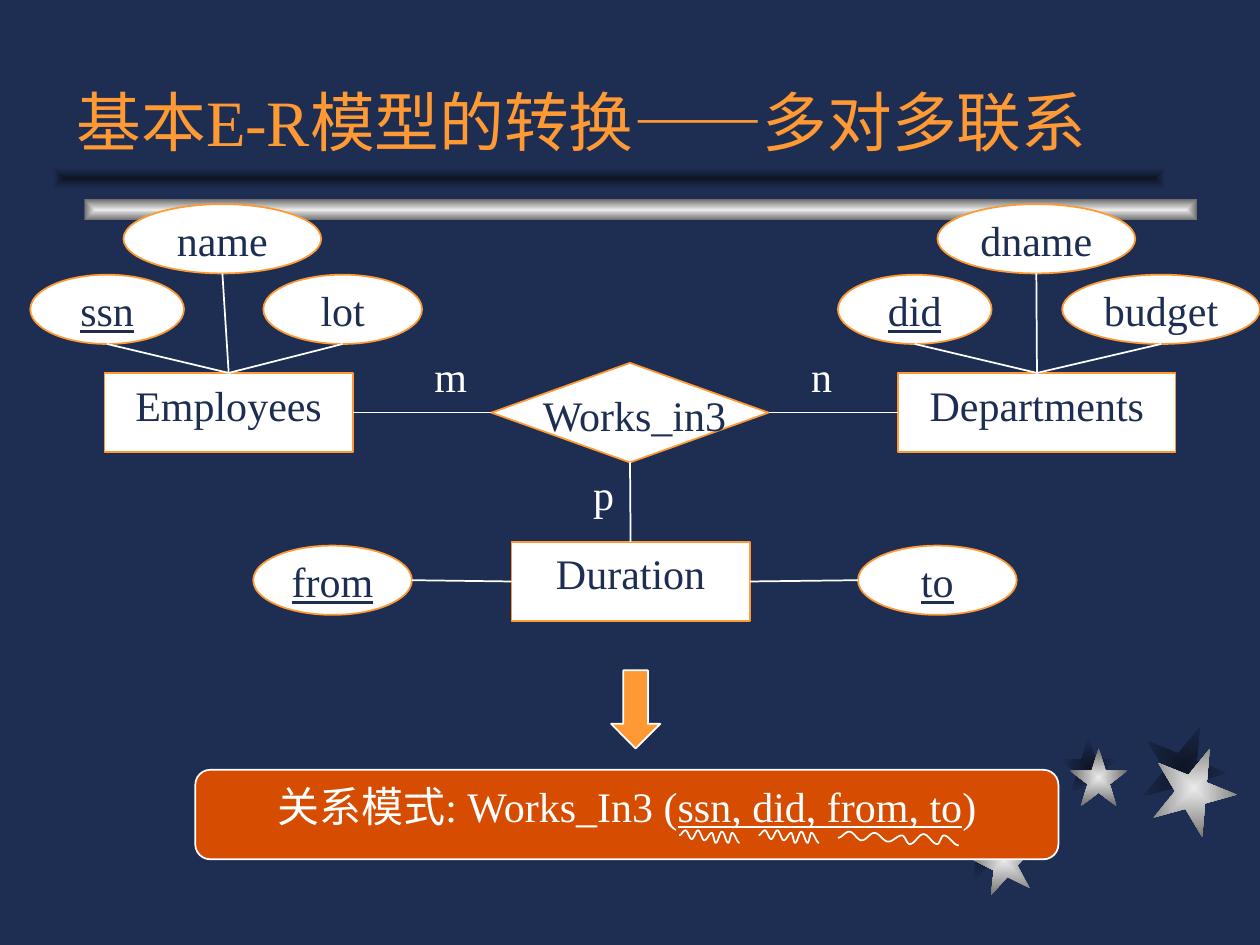
import math
from lxml import etree
from pptx import Presentation
from pptx import util as u
from pptx.dml.color import RGBColor
from pptx.enum import shapes, text
from pptx.oxml.ns import qn

PX = 9144  # 100 px to the inch
FONT = "Times New Roman"
NAVY, WHITE, ORANGE, RUST = "1E2E53", "FFFFFF", "FF9933", "D64C00"
SILVER, SHADE = ("EAEAEA", "6C6C6C"), ("0E1526", NAVY)  # centre, edge
KIND = shapes.MSO_SHAPE

TITLE = "基本E-R模型的转换——多对多联系"
SCHEMA = [("关系模式: Works_In3 (", False), ("ssn, did, from, to", True), (")", False)]

# left, top, size, rotation, colours
STARS = [
    (758, 647, 50, 349, SHADE), (841, 585, 46, 0, SHADE), (906, 575, 67, 22, SHADE),
    (772, 658, 50, 349, SILVER), (849, 594, 46, 0, SILVER), (914, 592, 67, 22, SILVER),
]
BARS = [((67, 158, 883, 17), SILVER), ((42, 133, 883, 17), SHADE)]

ENTITIES = {
    "Employees": (83, 296, 197, 63),
    "Departments": (713, 296, 220, 63),
    "Duration": (406, 430, 189, 63),
}
RELATIONSHIP = (390, 288, 220, 79)
# name: box, is key
ATTRIBUTES = {
    "name": ((98, 162, 157, 55), False),
    "ssn": ((24, 218, 122, 55), True),
    "lot": ((209, 218, 126, 55), False),
    "did": ((665, 218, 122, 55), True),
    "dname": ((744, 162, 157, 55), False),
    "budget": ((843, 218, 157, 55), False),
    "from": ((201, 433, 126, 55), True),
    "to": ((681, 433, 126, 55), True),
}
# attribute, its side, entity, its side
ATTRIBUTE_LINKS = [
    ("ssn", "bottom", "Employees", "top"), ("name", "bottom", "Employees", "top"),
    ("lot", "bottom", "Employees", "top"), ("did", "bottom", "Departments", "top"),
    ("dname", "bottom", "Departments", "top"), ("budget", "bottom", "Departments", "top"),
    ("from", "right", "Duration", "left"), ("to", "left", "Duration", "right"),
]
# side of the relationship, entity, its side
ROLE_LINKS = [("left", "Employees", "right"), ("right", "Departments", "left"),
              ("bottom", "Duration", "top")]
LABELS = [
    ("m", (335, 273, 46, 50), WHITE), ("n", (634, 273, 36, 50), WHITE),
    ("Works_in3", (421, 304, 168, 50), NAVY), ("p", (461, 367, 36, 50), WHITE),
]
# Turning points of the wavy underlines
SHORT_WAVE = [(0, 4), (5, 0), (10, 7), (15, 0), (20, 8), (26, 2), (29, 10),
              (34, 1), (39, 10), (42, 2), (48, 10)]
LONG_WAVE = [(0, 5), (9, 0), (19, 7), (29, 1), (40, 8), (51, 3), (57, 10),
             (68, 2), (79, 10), (84, 3), (96, 11)]
WAVES = [(539, 659, SHORT_WAVE), (602, 659, SHORT_WAVE), (665, 660, LONG_WAVE)]


def rgb(colour):
    return RGBColor.from_string(colour)


def emu(lengths):
    return [round(length * PX) for length in lengths]


def outline(shape, colour):
    shape.line.color.rgb = rgb(colour)
    shape.line.width = u.Pt(1)


def add_shape(kind, box, fill, line=None):
    shape = slide.shapes.add_shape(kind, *emu(box))
    shape.shadow.inherit = False
    if fill:
        shape.fill.solid()
        shape.fill.fore_color.rgb = rgb(fill)
    if line:
        outline(shape, line)
    else:
        shape.line.fill.background()
    return shape


def glow(shape, colours):
    """Fill from the first colour at the centre to the second at the edges."""
    shape.fill.gradient()
    gradient = shape.fill._fill._gradFill
    for child in list(gradient):
        gradient.remove(child)
    stops = etree.SubElement(gradient, qn("a:gsLst"))
    for position, colour in zip(("0", "100000"), colours):
        stop = etree.SubElement(stops, qn("a:gs"), pos=position)
        etree.SubElement(stop, qn("a:srgbClr"), val=colour)
    centre = etree.SubElement(gradient, qn("a:path"), path="rect")
    etree.SubElement(centre, qn("a:fillToRect"), l="50000", t="50000", r="50000", b="50000")


def write(shape, runs, colour, size=24, align=text.PP_ALIGN.CENTER,
          anchor=text.MSO_ANCHOR.TOP, wrap=True, inset=True):
    frame = shape.text_frame
    frame.word_wrap = wrap
    frame.vertical_anchor = anchor
    if not inset:
        frame.margin_left = frame.margin_top = frame.margin_right = frame.margin_bottom = 0
    paragraph = frame.paragraphs[0]
    paragraph.alignment = align
    paragraph.font.name = FONT
    paragraph.font.size = u.Pt(size)
    paragraph.font.color.rgb = rgb(colour)
    for words, underlined in runs:
        run = paragraph.add_run()
        run.text = words
        if underlined:
            run.font.underline = True
    return paragraph


def side(box, name):
    """Middle point of one side of a box."""
    left, top, width, height = box
    across, down = {"top": (0.5, 0), "bottom": (0.5, 1), "left": (0, 0.5), "right": (1, 0.5)}[name]
    return left + across * width, top + down * height


def link(start, end):
    line = slide.shapes.add_connector(shapes.MSO_CONNECTOR.STRAIGHT, *emu(start + end))
    outline(line, WHITE)
    etree.SubElement(line._element.spPr, qn("a:effectLst"))


def add_wave(left, top, turns, steps=8):
    """Draw a smooth curve that is level at each turning point."""
    points = [turns[0]]
    for (x0, y0), (x1, y1) in zip(turns, turns[1:]):
        for step in range(1, steps + 1):
            part = step / steps
            ease = (1 - math.cos(math.pi * part)) / 2
            points.append((x0 + (x1 - x0) * part, y0 + (y1 - y0) * ease))
    points = [emu((left + x, top + y)) for x, y in points]
    builder = slide.shapes.build_freeform(*points[0])
    builder.add_line_segments(points[1:], close=False)
    wave = builder.convert_to_shape()
    wave.shadow.inherit = False
    wave.fill.background()
    outline(wave, WHITE)


prs = Presentation()
prs.slide_width, prs.slide_height = emu((1000, 750))
slide = prs.slides.add_slide(prs.slide_layouts[6])
slide.background.fill.solid()
slide.background.fill.fore_color.rgb = rgb(NAVY)

for left, top, size, rotation, colours in STARS:
    star = add_shape(KIND.STAR_5_POINT, (left, top, size, size), None)
    star.rotation = rotation
    glow(star, colours)
for box, colours in BARS:
    glow(add_shape(KIND.RECTANGLE, box, None), colours)

title = slide.shapes.add_textbox(*emu((51, 34, 898, 98)))
write(title, [(TITLE, False)], ORANGE, 37, text.PP_ALIGN.LEFT,
      text.MSO_ANCHOR.BOTTOM).line_spacing = 0.9

schema = add_shape(KIND.ROUNDED_RECTANGLE, (155, 611, 685, 71), RUST, WHITE)
write(schema, SCHEMA, WHITE)
add_shape(KIND.DOWN_ARROW, (485, 532, 39, 62), ORANGE, WHITE)
for wave in WAVES:
    add_wave(*wave)

for name, box in ENTITIES.items():
    write(add_shape(KIND.RECTANGLE, box, WHITE, ORANGE), [(name, False)], NAVY)
add_shape(KIND.FLOWCHART_DECISION, RELATIONSHIP, WHITE, ORANGE)
for name, (box, is_key) in ATTRIBUTES.items():
    write(add_shape(KIND.OVAL, box, WHITE, ORANGE), [(name, is_key)], NAVY, inset=False)

for attribute, start, entity, end in ATTRIBUTE_LINKS:
    link(side(ATTRIBUTES[attribute][0], start), side(ENTITIES[entity], end))
for start, entity, end in ROLE_LINKS:
    link(side(RELATIONSHIP, start), side(ENTITIES[entity], end))
for words, box, colour in LABELS:
    label = slide.shapes.add_textbox(*emu(box))
    write(label, [(words, False)], colour, align=text.PP_ALIGN.LEFT, wrap=False)

prs.save("out.pptx")
